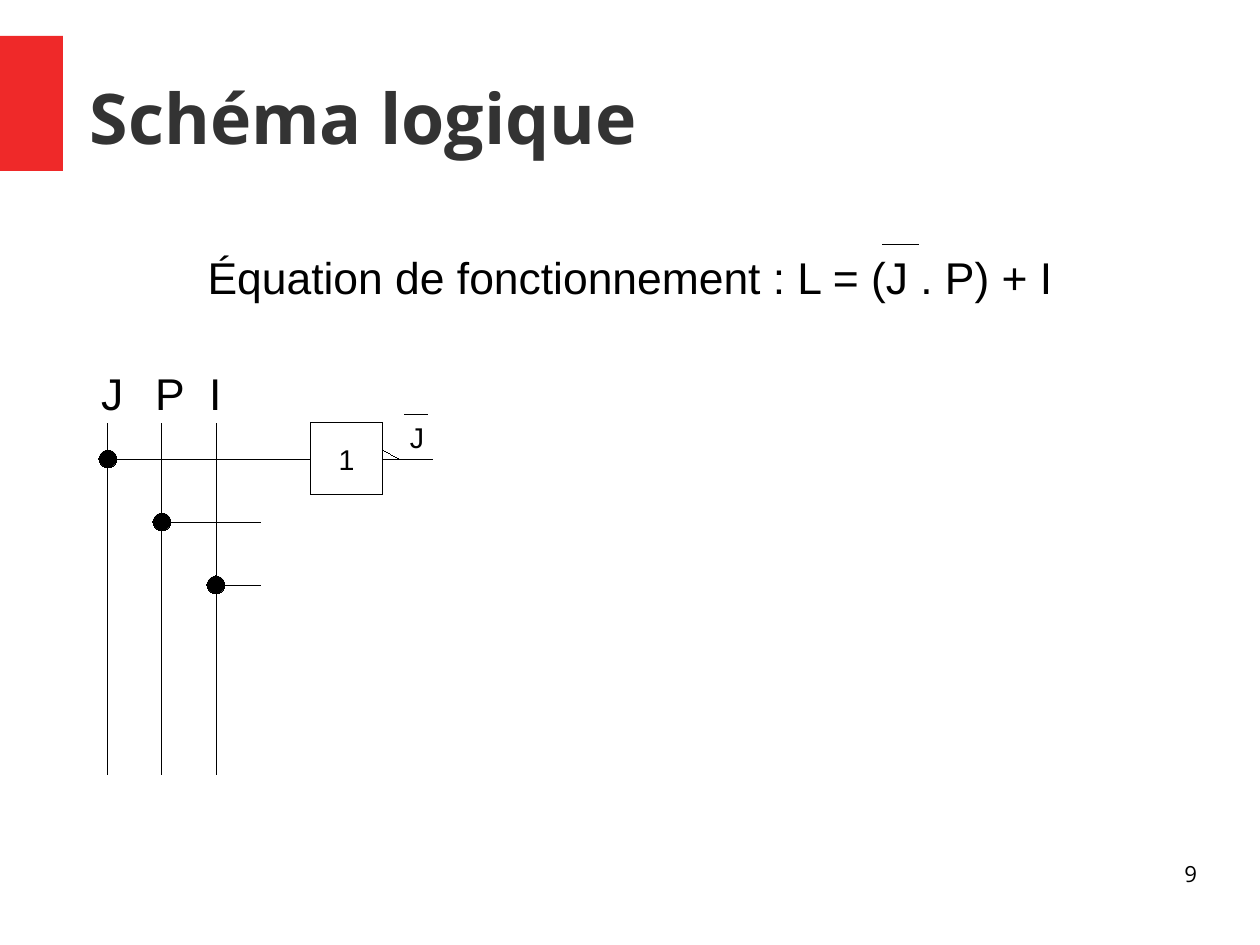
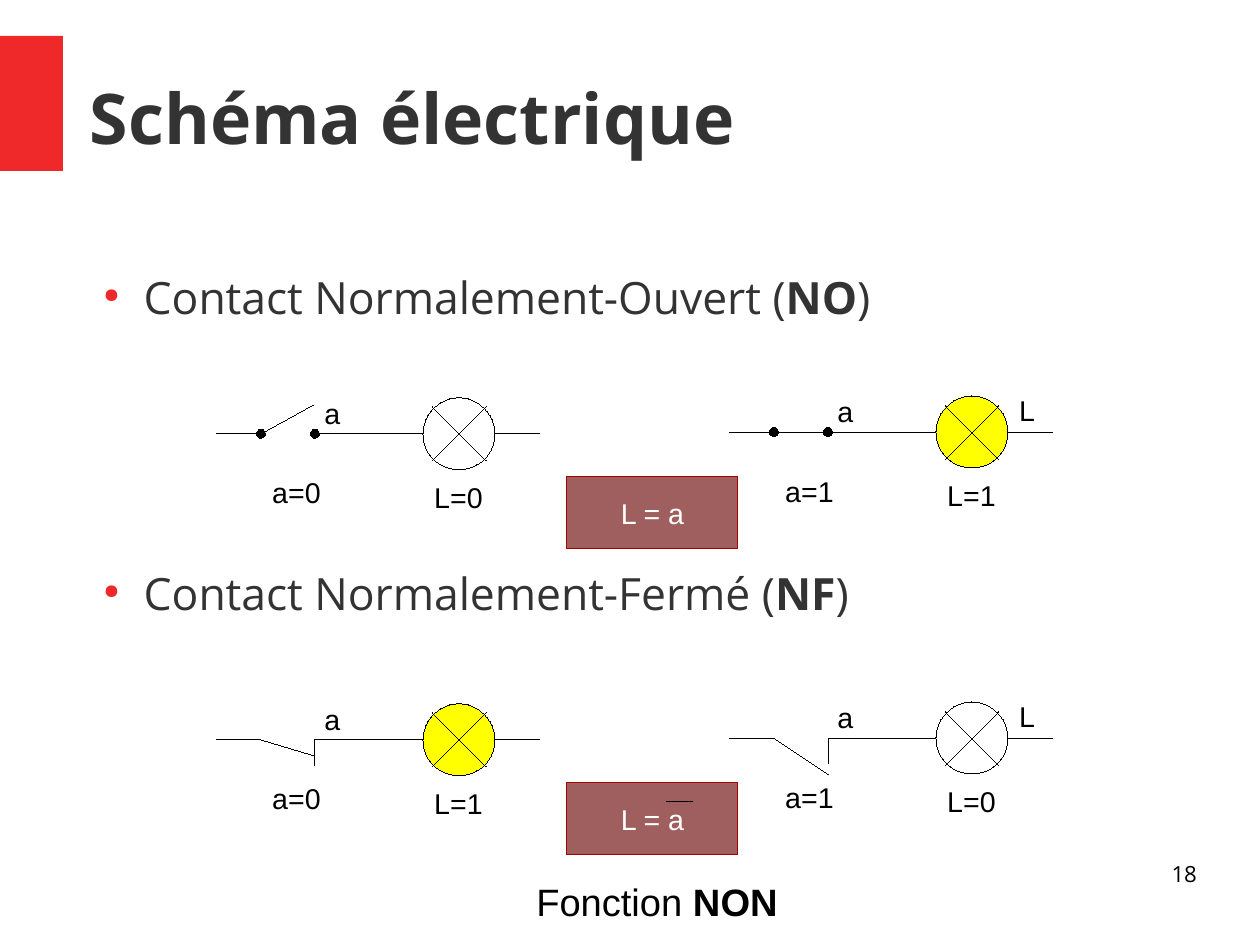
from dataclasses import dataclass

from lxml.etree import SubElement
from pptx import Presentation
from pptx.dml.color import RGBColor
from pptx.enum.shapes import MSO_CONNECTOR, MSO_SHAPE
from pptx.enum.text import MSO_ANCHOR, PP_ALIGN
from pptx.oxml.ns import qn
from pptx.util import Inches, Mm, Pt


# Colours, fonts and type sizes
@dataclass(frozen=True)
class Theme:
    red: str = "EF2929"
    dark: str = "333333"
    black: str = "000000"
    white: str = "FFFFFF"
    lit: str = "FFFF00"
    box: str = "9F5F5F"
    edge: str = "A80000"
    sans: str = "Arial"
    head: str = "Open Sans"
    title: int = 44
    body: int = 28
    note: int = 24
    label: int = 18
    page: int = 14


T = Theme()
COLS, ROWS = 140, 105
CELL = Mm(2)


def cells(*nums):
    return [round(n * CELL) for n in nums]


def rgb(code):
    return RGBColor.from_string(code)


class Deck:
    def __init__(self):
        self.prs = Presentation()
        self.prs.slide_width, self.prs.slide_height = cells(COLS, ROWS)

    # Shared frame: red band, title and page number
    def page(self, title, num):
        layout = self.prs.slide_layouts[6]
        self.shapes = self.prs.slides.add_slide(layout).shapes
        self.shape(MSO_SHAPE.RECTANGLE, 0, 4, 7, 15, fill=T.red, edge=None)
        frame = self.text([title], 10, 4.2, 123, 17.5, T.title, T.dark,
                          T.head, pad=0, bold=True)
        frame.vertical_anchor = MSO_ANCHOR.MIDDLE
        self.text([num], 100, 95.6, 33, 7.2, T.page, font=T.head,
                  align=PP_ALIGN.RIGHT, pad=0)

    # Every second part of a paragraph is bold
    def fill(self, para, parts, size, color, font, align=None, bold=None):
        for i, part in enumerate(parts):
            run = para.add_run()
            run.text = part
            if i % 2:
                run.font.bold = True
        para.alignment = align
        para.font.size, para.font.name = Pt(size), font
        para.font.bold = bold
        para.font.color.rgb = rgb(color)

    def text(self, parts, x, y, w, h, size=T.label, color=T.black,
             font=T.sans, align=None, pad=1, bold=None):
        frame = self.shapes.add_textbox(*cells(x, y, w, h)).text_frame
        frame.word_wrap = True
        frame.margin_left = frame.margin_right = Inches(0.1 * pad)
        frame.margin_top = frame.margin_bottom = Inches(0.05 * pad)
        self.fill(frame.paragraphs[0], parts, size, color, font, align, bold)
        return frame

    def list(self, items, x, y, w, h, gap):
        frame = self.text([], x, y, w, h, T.body, pad=0)
        for i, parts in enumerate(items):
            para = frame.add_paragraph() if i else frame.paragraphs[0]
            props = para._p.get_or_add_pPr()
            for old in list(props):
                props.remove(old)
            props.set("marL", str(Inches(0.47)))
            props.set("indent", str(Inches(-0.35)))
            tint = SubElement(props, qn("a:buClr"))
            SubElement(tint, qn("a:srgbClr"), val=T.red)
            SubElement(props, qn("a:buSzPct"), val="45000")
            SubElement(props, qn("a:buChar"), char="●")
            self.fill(para, parts, T.body, T.dark, T.head)
            if i:
                para.space_before = Pt(gap)

    def hair(self, shape, color):
        shape.line.color.rgb = rgb(color)
        shape._element.spPr.find(qn("a:ln")).set("w", "0")

    def line(self, x1, y1, x2, y2):
        wire = self.shapes.add_connector(MSO_CONNECTOR.STRAIGHT,
                                         *cells(x1, y1, x2, y2))
        self.hair(wire, T.black)
        SubElement(wire._element.spPr, qn("a:effectLst"))

    def shape(self, kind, x, y, w, h, fill=None, edge=T.black,
              text=None, color=T.black):
        item = self.shapes.add_shape(kind, *cells(x, y, w, h))
        item.shadow.inherit = False
        if fill:
            item.fill.solid()
            item.fill.fore_color.rgb = rgb(fill)
        else:
            item.fill.background()
        if edge:
            self.hair(item, edge)
        else:
            item.line.fill.background()
        if text:
            item.text_frame.vertical_anchor = MSO_ANCHOR.MIDDLE
            self.fill(item.text_frame.paragraphs[0], [text], T.label, color,
                      T.sans, PP_ALIGN.CENTER)

    def dot(self, x, y, r):
        self.shape(MSO_SHAPE.OVAL, x - r, y - r, 2 * r, 2 * r, T.black)

    def lamp(self, x, y, lit):
        self.shape(MSO_SHAPE.OVAL, x - 4, y - 4, 8, 8, T.lit if lit else None)
        for side in (-3, 3):
            self.line(x - 3, y + side, x + 3, y - side)

    # Contact and lamp in series; tip is the end of the moving blade
    def circuit(self, x, y, a, lit, tip, closed):
        for start, end in ((0, 5), (11, 23), (31, 36)):
            self.line(x + start, y, x + end, y)
        self.line(x + 5, y, x + tip[0], y + tip[1])
        if closed:
            self.line(x + 11, y, x + 11, y + 2.8)
        else:
            self.dot(x + 5, y, 0.5)
            self.dot(x + 11, y, 0.5)
        self.lamp(x + 27, y, lit)
        self.text(["a"], x + 10.8, y - 4.8, 5, 4.8)
        self.text([f"a={a}"], x + 5, y + 4, 9, 4.8)
        self.text([f"L={lit}"], x + 23, y + 4.5, 9, 4.8)


def logic(deck):
    deck.page("Schéma logique", "9")
    deck.text(["Équation de fonctionnement : L = (J . P) + I"],
              0, 27.2, COLS, 6.8, T.body, align=PP_ALIGN.CENTER)
    deck.line(98, 27.2, 102, 27.2)

    # Input rails, each with one tap
    for i, (name, end) in enumerate((("J", 34.5), ("P", 29), ("I", 29))):
        x, y = 12 + 6 * i, 51 + 7 * i
        deck.text([name], x - 2, 40, 5, 7, T.body)
        deck.line(x, 47, x, 86)
        deck.line(x, y, end, y)
        deck.dot(x, y, 1)

    # Inverter and its output
    deck.shape(MSO_SHAPE.RECTANGLE, 34.5, 47, 8, 8, text="1")
    deck.line(42.5, 51, 48, 51)
    deck.line(42.5, 50, 44.4, 51)
    deck.text(["J"], 44.3, 46, 5, 4.8)
    deck.line(45, 46, 47.5, 46)


def wiring(deck):
    deck.page("Schéma électrique", "18")
    deck.list([["Contact Normalement-Ouvert (", "NO", ")"],
               ["Contact Normalement-Fermé (", "NF", ")"]],
              10, 30, 120, 61, gap=152.8)

    # One row per contact type: blade tips at rest and when pressed
    rows = ((False, (10.8, -3.2), (6, 0)), (True, (11, 1.8), (6 + 5, 4)))
    for i, (closed, rest, press) in enumerate(rows):
        y = 48 + 34 * i
        deck.circuit(24, y + 0.2, 0, int(closed), rest, closed)
        deck.circuit(81, y, 1, int(not closed),
                     press if closed else (11, 0), closed)
        deck.text(["L"], 112, y - 5, 7, 6)
        deck.shape(MSO_SHAPE.RECTANGLE, 63, y + 5, 19, 8, T.box, T.edge,
                   "L = a", T.white)

    # Negation bar and name of the function
    deck.line(74, 89, 77, 89)
    deck.text(["Fonction ", "NON"], 57, 97, 32, 6, T.note,
              align=PP_ALIGN.CENTER)


def main():
    deck = Deck()
    logic(deck)
    wiring(deck)
    deck.prs.save("out.pptx")


if __name__ == "__main__":
    main()
